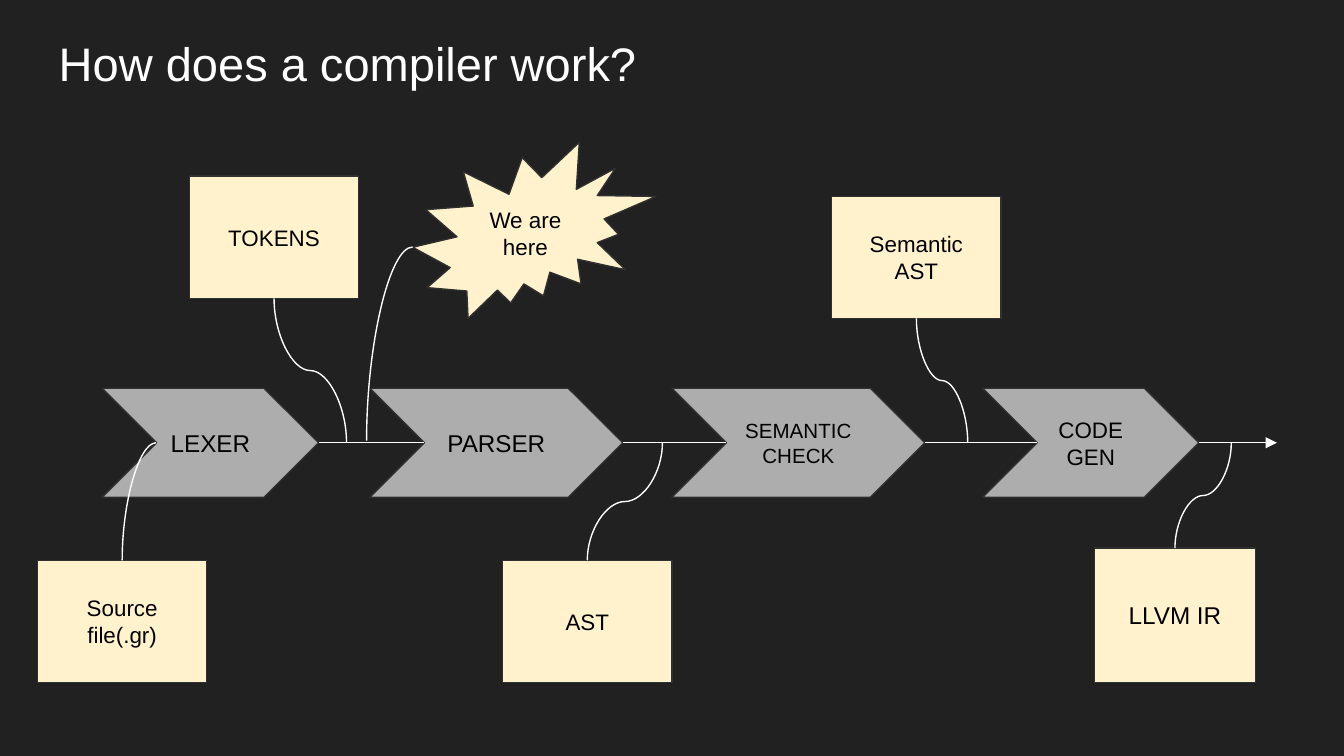
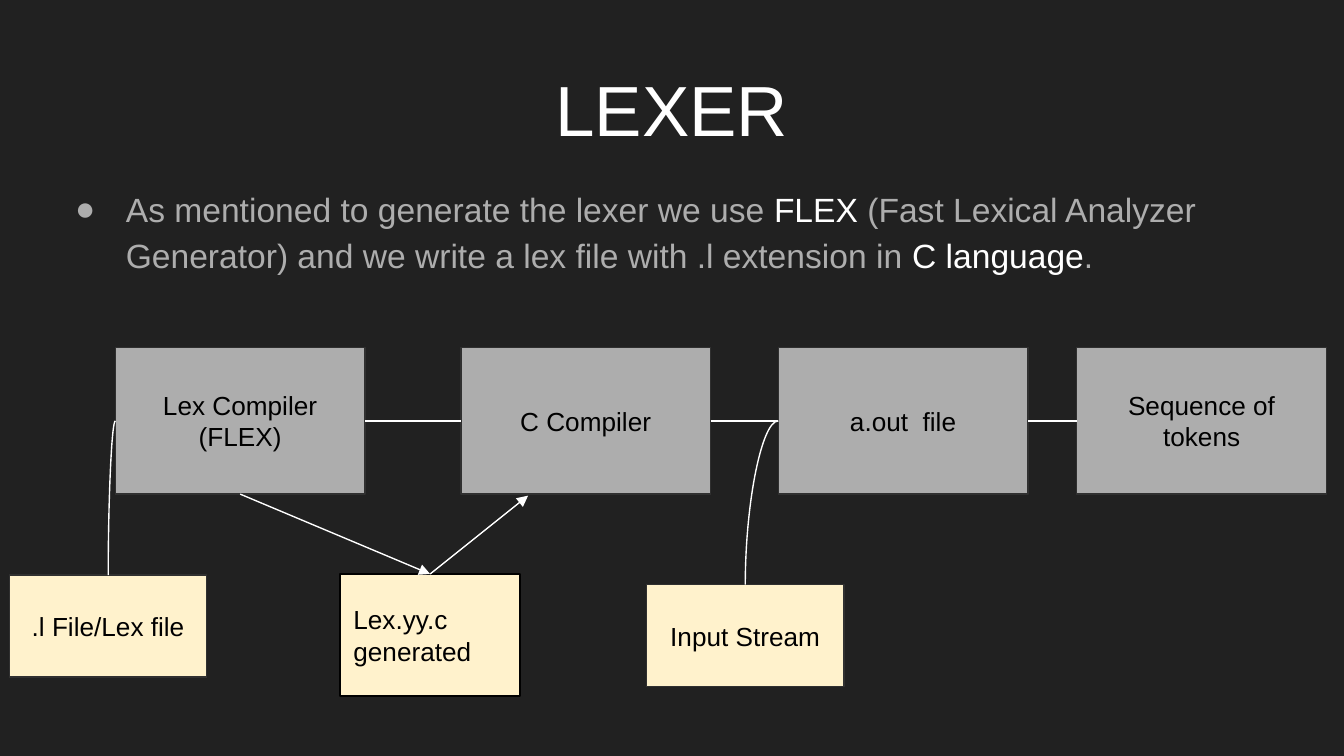
import pptx
import pptx.dml.color
import pptx.enum.shapes
import pptx.enum.text
import pptx.oxml
import pptx.oxml.ns
import pptx.util

Cm = pptx.util.Cm
Pt = pptx.util.Pt
SHAPE = pptx.enum.shapes.MSO_SHAPE
CONNECTOR = pptx.enum.shapes.MSO_CONNECTOR
ALIGN = pptx.enum.text.PP_ALIGN
ANCHOR = pptx.enum.text.MSO_ANCHOR

COLORS = {
    "background": "212121",
    "stage": "ADADAD",
    "note": "FFF2CC",
    "outline": "303030",
    "white": "FFFFFF",
    "black": "000000",
}
FONT = "Arial"
MARGIN, CONTENT_WIDTH, TITLE_HEIGHT = 0.86, 23.67, 1.6

CHEVRON_TOP, CHEVRON_HEIGHT = 7.34, 2.06
PHASES = [
    ("LEXER", 1.93, 4.09, 13),
    ("PARSER", 6.99, 4.78, 13),
    ("SEMANTIC\nCHECK", 12.7, 4.78, 11),
    ("CODE\nGEN", 18.57, 4.09, 12),
]
OUTPUT_END = 24.13
PHASE_NOTES = [
    ("Source file(.gr)", (0.71, 10.59, 3.2, 2.31), 12, 2.95, True),
    ("AST", (9.5, 10.59, 3.2, 2.31), 12, 12.52, False),
    ("Semantic\nAST", (15.72, 3.71, 3.2, 2.31), 12, 18.29, False),
    ("TOKENS", (3.58, 3.33, 3.2, 2.31), 12, 6.55, False),
    ("LLVM IR", (20.68, 10.36, 3.05, 2.54), 13, 23.27, False),
]
MARKER = ("We are here", (7.8, 2.69, 4.6, 3.33))
MARKER_CURVE = ((7.8, 4.67), (6.93, 8.33))

LEXER_BULLET = [
    ("As mentioned to generate the lexer we use ", "stage"),
    ("FLEX ", "white"),
    ("(Fast Lexical Analyzer Generator) and we write a lex file with .l extension in ", "stage"),
    ("C language", "white"),
    (".", "stage"),
]
STEP_TOP, STEP_WIDTH, STEP_HEIGHT = 6.57, 4.72, 2.77
STEPS = [
    ("Lex Compiler\n(FLEX)", 2.18),
    ("C Compiler", 8.71),
    ("a.out  file", 14.71),
    ("Sequence of tokens", 20.35),
]
STEP_INPUTS = [
    (".l File/Lex file", (0.18, 10.87, 3.73, 1.93), 0),
    ("Input Stream", (12.22, 11.05, 3.73, 1.93), 2),
]
GENERATED = ("Lex.yy.c\ngenerated", (6.43, 10.85, 3.4, 2.31))
GENERATED_TARGET = (9.98, 9.37)

FRAME_FORMAT = {
    "word_wrap": True,
    "margin_left": Cm(0.25),
    "margin_right": Cm(0.25),
    "margin_top": Cm(0.25),
    "margin_bottom": Cm(0.25),
}


def rgb(name):
    return pptx.dml.color.RGBColor.from_string(COLORS[name])


def set_format(target, values):
    for name, value in values.items():
        setattr(target, name, value)


def set_font(font, size, color):
    set_format(font, {"name": FONT, "size": Pt(size)})
    font.color.rgb = rgb(color)


def add_child(parent, tag, **attributes):
    child = pptx.oxml.parse_xml(f"<a:{tag} {pptx.oxml.ns.nsdecls('a')}/>")
    for name, value in attributes.items():
        child.set(name, value)
    parent.append(child)
    return child


def write_text(shape, text, size, color, align, anchor):
    frame = shape.text_frame
    set_format(frame, FRAME_FORMAT | {"text": text, "vertical_anchor": anchor})
    for paragraph in frame.paragraphs:
        paragraph.alignment = align
        for run in paragraph.runs:
            set_font(run.font, size, color)


def add_box(slide, kind, box, text, size, fill, outline="outline", align=ALIGN.CENTER):
    shape = slide.shapes.add_shape(kind, *map(Cm, box))
    shape.shadow.inherit = False
    shape.fill.solid()
    shape.fill.fore_color.rgb = rgb(fill)
    shape.line.color.rgb = rgb(outline)
    shape.line.width = Pt(0.75)
    write_text(shape, text, size, "black", align, ANCHOR.MIDDLE)


def add_line(slide, start, end, kind=CONNECTOR.STRAIGHT, arrow=False):
    connector = slide.shapes.add_connector(kind, *map(Cm, start + end))
    connector.line.color.rgb = rgb("white")
    connector.line.width = Pt(0.75)
    properties = connector.element.spPr
    if arrow:
        add_child(properties.find(pptx.oxml.ns.qn("a:ln")), "tailEnd", type="triangle")
    add_child(properties, "effectLst")
    return properties


def add_curve(slide, start, end, bend, upright=True):
    (x1, y1), (x2, y2) = start, end
    if upright:
        middle_x, middle_y = (x1 + x2) / 2, (y1 + y2) / 2
        along, across = (y1 - y2) / 2, (x2 - x1) / 2
        start = (middle_x - along, middle_y - across)
        end = (middle_x + along, middle_y + across)
    properties = add_line(slide, start, end, CONNECTOR.CURVE)
    if upright:
        properties.find(pptx.oxml.ns.qn("a:xfrm")).set("rot", str(270 * 60000))
    if bend:
        properties.find(pptx.oxml.ns.qn("a:prstGeom")).set("prst", "curvedConnector2")


def add_slide(presentation, title, top, size, align, anchor):
    slide = presentation.slides.add_slide(presentation.slide_layouts[6])
    slide.background.fill.solid()
    slide.background.fill.fore_color.rgb = rgb("background")
    box = slide.shapes.add_textbox(*map(Cm, (MARGIN, top, CONTENT_WIDTH, TITLE_HEIGHT)))
    write_text(box, title, size, "white", align, anchor)
    return slide


def build_pipeline(presentation):
    slide = add_slide(presentation, "How does a compiler work?", 0.41, 25.2, ALIGN.LEFT, ANCHOR.TOP)
    notch = CHEVRON_HEIGHT / 2
    axis = CHEVRON_TOP + notch
    for text, left, width, size in PHASES:
        add_box(slide, SHAPE.CHEVRON, (left, CHEVRON_TOP, width, CHEVRON_HEIGHT), text, size, "stage")
    line_ends = [left + notch for _, left, _, _ in PHASES[1:]] + [OUTPUT_END]
    for (_, left, width, _), line_end in zip(PHASES, line_ends):
        add_line(slide, (left + width, axis), (line_end, axis), arrow=line_end == OUTPUT_END)
    for text, box, size, target, bend in PHASE_NOTES:
        left, top, width, height = box
        add_box(slide, SHAPE.RECTANGLE, box, text, size, "note")
        edge = top if top > axis else top + height
        add_curve(slide, (left + width / 2, edge), (target, axis), bend)
    text, box = MARKER
    add_box(slide, SHAPE.EXPLOSION2, box, text, 12, "note")
    add_curve(slide, *MARKER_CURVE, bend=True, upright=False)


def build_lexer(presentation):
    slide = add_slide(presentation, "LEXER", 1.24, 38, ALIGN.CENTER, ANCHOR.MIDDLE)
    body = slide.shapes.add_textbox(*map(Cm, (MARGIN, 3.2, CONTENT_WIDTH, 9.5)))
    set_format(body.text_frame, FRAME_FORMAT)
    paragraph = body.text_frame.paragraphs[0]
    paragraph.line_spacing = 1.15
    for text, color in LEXER_BULLET:
        run = paragraph.add_run()
        run.text = text
        set_font(run.font, 18, color)
    properties = paragraph.runs[0].font._element.getparent().getparent().get_or_add_pPr()
    properties.set("marL", str(Cm(1.27)))
    properties.set("indent", str(Cm(-0.96)))
    add_child(add_child(properties, "buClr"), "srgbClr", val=COLORS["stage"])
    add_child(properties, "buFont", typeface=FONT)
    add_child(properties, "buChar", char="●")

    axis = STEP_TOP + STEP_HEIGHT / 2
    for text, left in STEPS:
        add_box(slide, SHAPE.RECTANGLE, (left, STEP_TOP, STEP_WIDTH, STEP_HEIGHT), text, 14, "stage")
    for (_, left), (_, following) in zip(STEPS, STEPS[1:]):
        add_line(slide, (left + STEP_WIDTH, axis), (following, axis))
    for text, box, step in STEP_INPUTS:
        left, top, width, _ = box
        add_box(slide, SHAPE.RECTANGLE, box, text, 14, "note")
        add_curve(slide, (left + width / 2, top), (STEPS[step][1], axis), True)
    text, box = GENERATED
    add_box(slide, SHAPE.RECTANGLE, box, text, 14, "note", "black", ALIGN.LEFT)
    left, top, width, _ = box
    junction = (left + width / 2, top)
    compiler_bottom = (STEPS[0][1] + STEP_WIDTH / 2, STEP_TOP + STEP_HEIGHT)
    add_line(slide, compiler_bottom, junction, arrow=True)
    add_line(slide, junction, GENERATED_TARGET, arrow=True)


def main():
    presentation = pptx.Presentation()
    set_format(presentation, {"slide_width": Cm(25.4), "slide_height": Cm(14.29)})
    build_pipeline(presentation)
    build_lexer(presentation)
    presentation.save("out.pptx")


if __name__ == "__main__":
    main()
